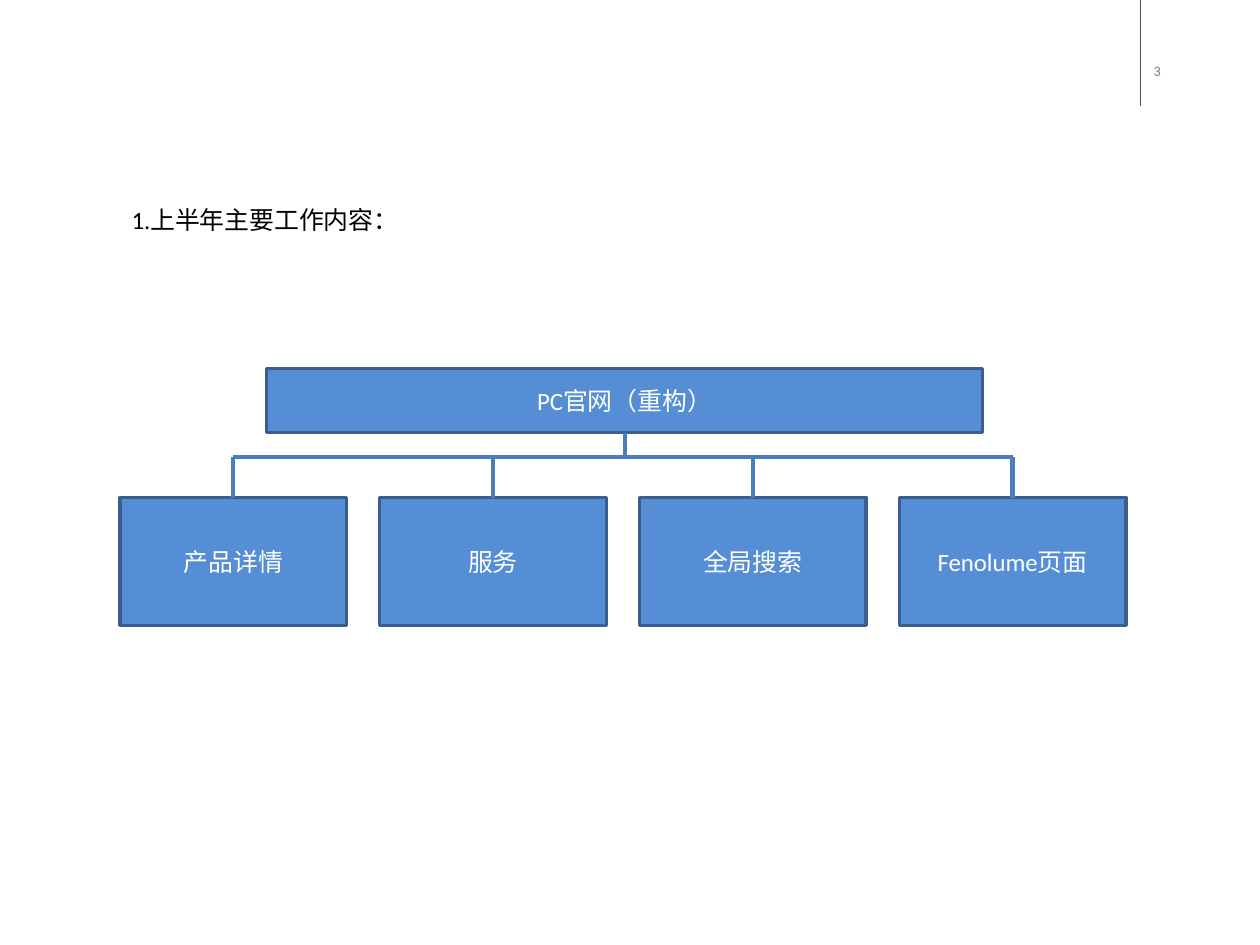
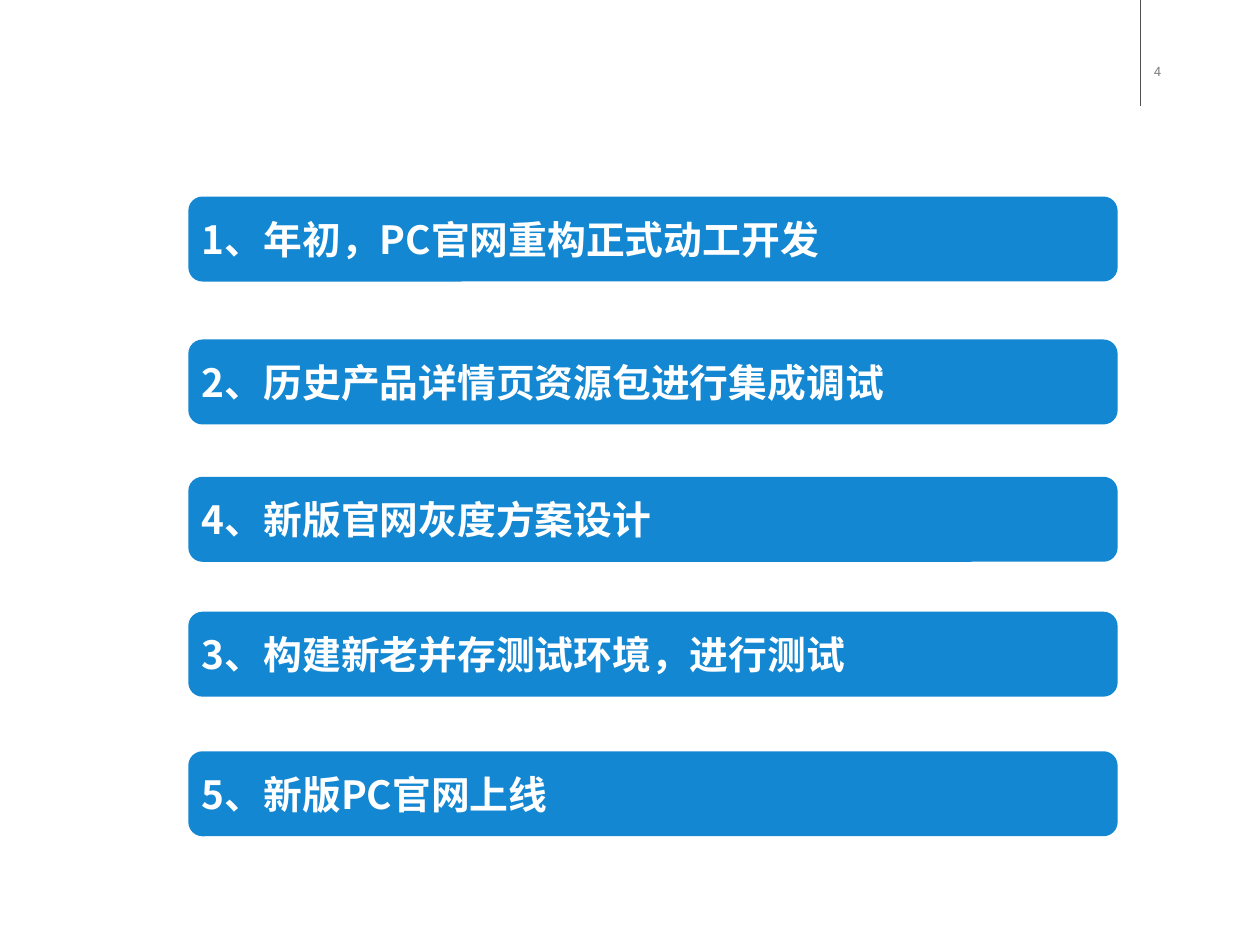
"""Build two work-review slides: a site structure chart and a list of milestones."""
from dataclasses import dataclass

from lxml import etree
from pptx import Presentation
from pptx.dml.color import RGBColor
from pptx.enum import shapes, text
from pptx.oxml.ns import qn
from pptx.shapes.autoshape import Shape
from pptx.slide import Slide
from pptx.util import Pt

WHITE = RGBColor(0xFF, 0xFF, 0xFF)
BLACK = RGBColor(0x00, 0x00, 0x00)
GREY = RGBColor(0x80, 0x80, 0x80)
RULE = RGBColor(0x50, 0x50, 0x50)
BOX_FILL = RGBColor(0x55, 0x8E, 0xD5)
BOX_LINE = RGBColor(0x3A, 0x5F, 0x8C)
TREE_LINE = RGBColor(0x4B, 0x7E, 0xBC)
BAR_FILL = RGBColor(0x14, 0x87, 0xD2)
LEFT, CENTER = text.PP_ALIGN.LEFT, text.PP_ALIGN.CENTER
TOP, MIDDLE = text.MSO_ANCHOR.TOP, text.MSO_ANCHOR.MIDDLE


@dataclass(frozen=True)
class Style:
    """Font, alignment and side and top insets of a text."""
    font: str
    size: float
    color: RGBColor
    bold: bool = False
    align: text.PP_ALIGN = LEFT
    anchor: text.MSO_ANCHOR = MIDDLE
    side: float = 7.2
    top: float = 3.6


@dataclass(frozen=True)
class Box:
    """A rectangle in points."""
    x: float
    y: float
    w: float
    h: float

    @property
    def center(self) -> float:
        """Horizontal centre."""
        return self.x + self.w / 2

    @property
    def bottom(self) -> float:
        """Lower edge."""
        return self.y + self.h


TITLE = Style("Calibri", 15.4, BLACK, anchor=TOP)
NODE = Style("Calibri", 15.4, WHITE, align=CENTER)
BAR = Style("Noto Sans CJK SC", 24, WHITE, bold=True, side=5.8, top=2.9)
PAGE = Style("Roboto", 8, GREY, anchor=TOP, side=5.8, top=2.9)

ROOT = Box(164.9, 228.2, 443.5, 39.6)
CHILD = Box(74.2, 308, 140.4, 79.2)
CHILD_STEP = 160.8
BUS_Y = 283
CHILDREN = ("产品详情", "服务", "全局搜索", "Fenolume页面")
BAR_X, BAR_W, BAR_H = 116.6, 575.3, 52.6
BARS = (
    (121.7, "1、年初，PC官网重构正式动工开发"),
    (210.2, "2、历史产品详情页资源包进行集成调试"),
    (295.2, "4、新版官网灰度方案设计"),
    (378.7, "3、构建新老并存测试环境，进行测试"),
    (465.1, "5、新版PC官网上线"),
)


def write(sp: Shape, words: str, style: Style, wrap: bool = True) -> None:
    """Put styled text in a shape."""
    tf = sp.text_frame
    tf.text = words
    tf.word_wrap = wrap
    tf.auto_size = text.MSO_AUTO_SIZE.NONE
    tf.vertical_anchor = style.anchor
    tf.margin_left = tf.margin_right = Pt(style.side)
    tf.margin_top = tf.margin_bottom = Pt(style.top)
    p = tf.paragraphs[0]
    p.alignment = style.align
    for r in p.runs:
        r.font.name = style.font
        r.font.size = Pt(style.size)
        r.font.bold = style.bold
        r.font.color.rgb = style.color
        if style is BAR:
            ea = etree.SubElement(r.font._element, qn("a:ea"))
            ea.set("typeface", style.font)


def add_line(s: Slide, x1: float, y1: float, x2: float, y2: float,
             color: RGBColor, width: float) -> None:
    """Draw a straight line without a shadow."""
    line = s.shapes.add_connector(shapes.MSO_CONNECTOR.STRAIGHT,
                                  Pt(x1), Pt(y1), Pt(x2), Pt(y2))
    line.line.color.rgb = color
    line.line.width = Pt(width)
    etree.SubElement(line._element.spPr, qn("a:effectLst"))


def add_box(s: Slide, kind: shapes.MSO_SHAPE, box: Box, words: str, style: Style,
            fill: RGBColor, outline: RGBColor | None = None) -> None:
    """Draw a filled shape with text."""
    sp = s.shapes.add_shape(kind, Pt(box.x), Pt(box.y), Pt(box.w), Pt(box.h))
    sp.shadow.inherit = False
    sp.fill.solid()
    sp.fill.fore_color.rgb = fill
    if outline is None:
        sp.line.fill.background()
    else:
        sp.line.color.rgb = outline
        sp.line.width = Pt(2)
    write(sp, words, style)


def add_slide(prs: Presentation, layout: int, page: int) -> Slide:
    """Add a slide with the corner rule and page number."""
    s = prs.slides.add_slide(prs.slide_layouts[layout])
    add_line(s, 706.3, 0, 706.3, 65.5, RULE, 0.5)
    write(s.shapes.add_textbox(Pt(708.5), Pt(36.7), Pt(37.4), Pt(15.1)), str(page), PAGE)
    return s


def draw_structure(s: Slide) -> None:
    """Draw the title and the site tree."""
    title = s.shapes.title
    title.left, title.top, title.width, title.height = Pt(74.2), Pt(123.1), Pt(177.1), Pt(25.9)
    write(title, "1.上半年主要工作内容：", TITLE, wrap=False)
    rect = shapes.MSO_SHAPE.RECTANGLE
    add_box(s, rect, ROOT, "PC官网（重构）", NODE, BOX_FILL, BOX_LINE)
    boxes = [Box(CHILD.x + i * CHILD_STEP, CHILD.y, CHILD.w, CHILD.h)
             for i in range(len(CHILDREN))]
    for box, words in zip(boxes, CHILDREN):
        add_box(s, rect, box, words, NODE, BOX_FILL, BOX_LINE)
        add_line(s, box.center, BUS_Y, box.center, box.y, TREE_LINE, 2.5)
    add_line(s, boxes[0].center, BUS_Y, boxes[-1].center, BUS_Y, TREE_LINE, 2.5)
    add_line(s, ROOT.center, ROOT.bottom, ROOT.center, BUS_Y, TREE_LINE, 2.5)


def draw_milestones(s: Slide) -> None:
    """Draw the milestone bars."""
    for y, words in BARS:
        add_box(s, shapes.MSO_SHAPE.ROUNDED_RECTANGLE, Box(BAR_X, y, BAR_W, BAR_H),
                words, BAR, BAR_FILL)


def main() -> None:
    """Build and save the presentation."""
    prs = Presentation()
    prs.slide_width, prs.slide_height = Pt(780), Pt(585)
    draw_structure(add_slide(prs, 5, 3))
    draw_milestones(add_slide(prs, 6, 4))
    prs.save("out.pptx")


if __name__ == "__main__":
    main()
